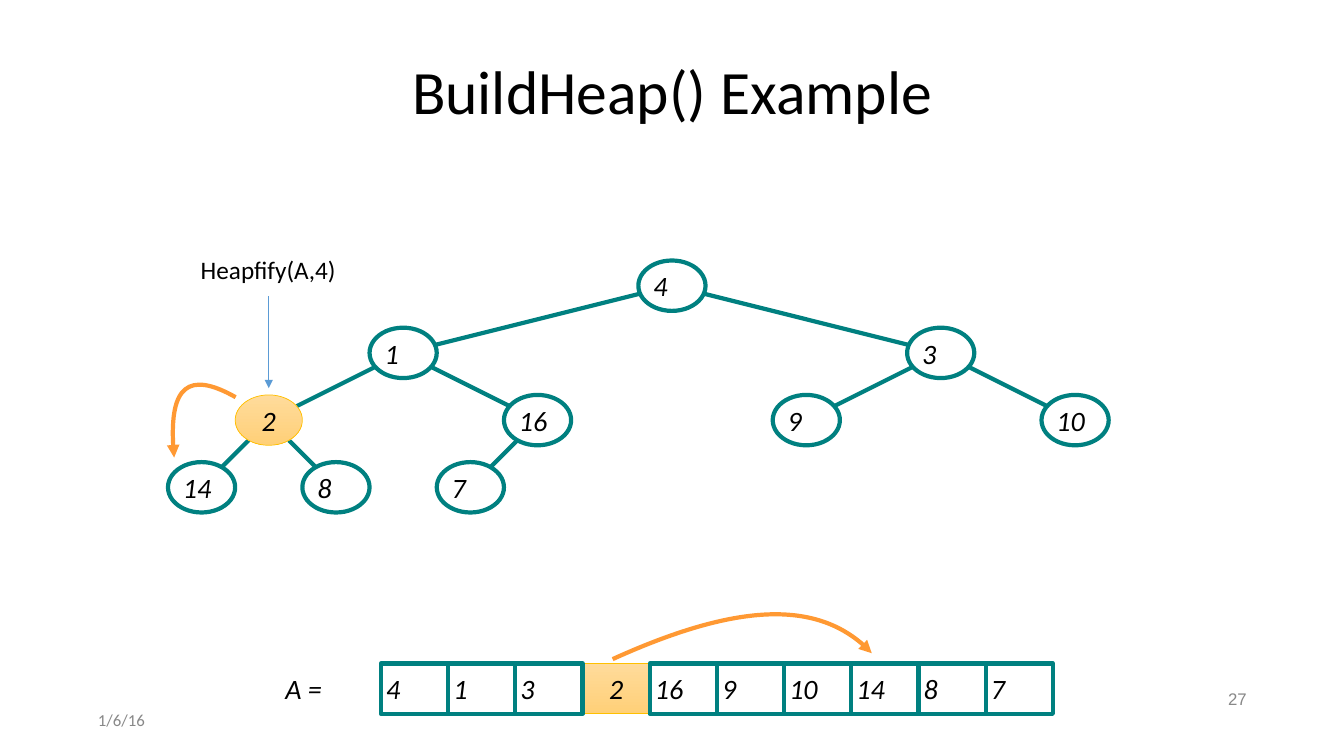
import math

from lxml import etree
from pptx import Presentation, util as u
from pptx.dml.color import RGBColor
from pptx.enum import shapes, text
from pptx.oxml import ns

COLORS = {
    "black": "000000", "grey": "888888", "white": "FFFFFF", "teal": "008080",
    "gold": "FFC000", "light": "FFDB9B", "deep": "FFD078",
    "orange": "FF9933", "blue": "5B9BD5",
}
HEAP = [4, 1, 3, 2, 16, 9, 10, 14, 8, 7]
ACTIVE = 3
STEP = 5.08 / 3
HEIGHT = 1.27
COLUMNS = [10, 6, 14, 4, 8, 12, 16, 3, 5, 7]
TREE_TOP = 7.2
ARRAY_LEFT, ARRAY_TOP = 9.6, 16.72


def color(name):
    return RGBColor.from_string(COLORS[name])


def write(frame, words, size=20, ink="black", font="Calibri", italic=False,
          align="LEFT", anchor="MIDDLE", wrap=True, spacing=None):
    frame.word_wrap = wrap
    frame.vertical_anchor = text.MSO_ANCHOR[anchor]
    frame.margin_left = frame.margin_right = u.Cm(0.13)
    frame.margin_top = frame.margin_bottom = u.Cm(0.13)
    para = frame.paragraphs[0]
    para.alignment = text.PP_ALIGN[align]
    para.line_spacing = spacing
    span = para.add_run()
    span.text = words
    span.font.name = font
    span.font.size = u.Pt(size)
    span.font.italic = italic
    span.font.color.rgb = color(ink)


class Page:
    def __init__(self, deck):
        self.shapes = deck.slides.add_slide(deck.slide_layouts[6]).shapes

    def stroke(self, item, ink, width, arrow=False):
        item.line.color.rgb = color(ink)
        item.line.width = u.Pt(width)
        if arrow:
            line = item.line._get_or_add_ln()
            etree.SubElement(line, ns.qn("a:tailEnd"), type="triangle")

    def label(self, words, left, top, width, height, **style):
        box = self.shapes.add_textbox(*map(u.Cm, (left, top, width, height)))
        write(box.text_frame, words, **style)

    def cell(self, kind, value, left, top, active):
        box = self.shapes.add_shape(kind, *map(u.Cm, (left, top, STEP, HEIGHT)))
        box.shadow.inherit = False
        if active:
            box.fill.gradient()
            box.fill.gradient_angle = 270
            for stop, name in zip(box.fill.gradient_stops, ("light", "deep")):
                stop.color.rgb = color(name)
            self.stroke(box, "gold", 0.5)
        else:
            box.fill.solid()
            box.fill.fore_color.rgb = color("white")
            self.stroke(box, "teal", 3)
        write(box.text_frame, str(value), italic=True,
              align="CENTER" if active else "LEFT")

    def line(self, start, end, ink, width, arrow=False):
        link = self.shapes.add_connector(
            shapes.MSO_CONNECTOR.STRAIGHT, *map(u.Cm, (*start, *end)))
        self.stroke(link, ink, width, arrow)
        etree.SubElement(link._element.spPr, ns.qn("a:effectLst"))

    def curve(self, points):
        start, *rest = [tuple(map(u.Cm, point)) for point in points]
        builder = self.shapes.build_freeform(*start)
        builder.add_line_segments(rest, close=False)
        bend = builder.convert_to_shape()
        bend.shadow.inherit = False
        bend.fill.background()
        self.stroke(bend, "orange", 3, arrow=True)
        segments = list(bend._element.iter(ns.qn("a:lnTo")))
        cubic = etree.SubElement(segments[0].getparent(), ns.qn("a:cubicBezTo"))
        for segment in segments:
            cubic.append(segment[0])
            segment.getparent().remove(segment)


def draw_tree(page):
    centers = [(column * STEP, TREE_TOP + int(math.log2(index + 1)) * STEP)
               for index, column in enumerate(COLUMNS)]
    for child in range(1, len(HEAP)):
        (x1, y1), (x2, y2) = centers[(child - 1) // 2], centers[child]
        dx, dy = x2 - x1, y2 - y1
        trim = 1 / math.hypot(2 * dx / STEP, 2 * dy / HEIGHT)
        page.line((x1 + trim * dx, y1 + trim * dy),
                  (x2 - trim * dx, y2 - trim * dy), "teal", 3)
    for index, (x, y) in enumerate(centers):
        page.cell(shapes.MSO_SHAPE.OVAL, HEAP[index],
                  x - STEP / 2, y - HEIGHT / 2, index == ACTIVE)
    page.label("Heapfify(A,4)", 4.93, 6.27, 3.68, 1.04, size=18,
               anchor="TOP", wrap=False)
    x = centers[ACTIVE][0]
    page.line((x, 7.47), (x, 9.78), "blue", 1, arrow=True)
    page.curve([(5.94, 10.01), (4.72, 9.32), (4.22, 9.83), (4.39, 11.53)])


def draw_array(page):
    page.label("A =", 7.06, 16.81, 1.22, 1.09, italic=True, wrap=False)
    for index in sorted(range(len(HEAP)), key=lambda place: place != ACTIVE):
        page.cell(shapes.MSO_SHAPE.RECTANGLE, HEAP[index],
                  ARRAY_LEFT + index * STEP, ARRAY_TOP, index == ACTIVE)
    page.curve([(15.44, 16.61), (18.57, 15.19), (20.75, 15.14), (21.97, 16.46)])


def main():
    deck = Presentation()
    deck.slide_width, deck.slide_height = u.Cm(33.87), u.Cm(19.05)
    page = Page(deck)
    page.label("BuildHeap() Example", 2.34, 1.02, 29.21, 2.72, size=44,
               align="CENTER", spacing=0.9)
    draw_tree(page)
    draw_array(page)
    page.label("1/6/16", 2.34, 17.78, 7.62, 0.74, size=12, ink="grey")
    page.label("27", 23.93, 17.27, 7.62, 0.74, size=12, ink="grey",
               font="Arial", align="RIGHT", spacing=0.9)
    deck.save("out.pptx")


if __name__ == "__main__":
    main()
